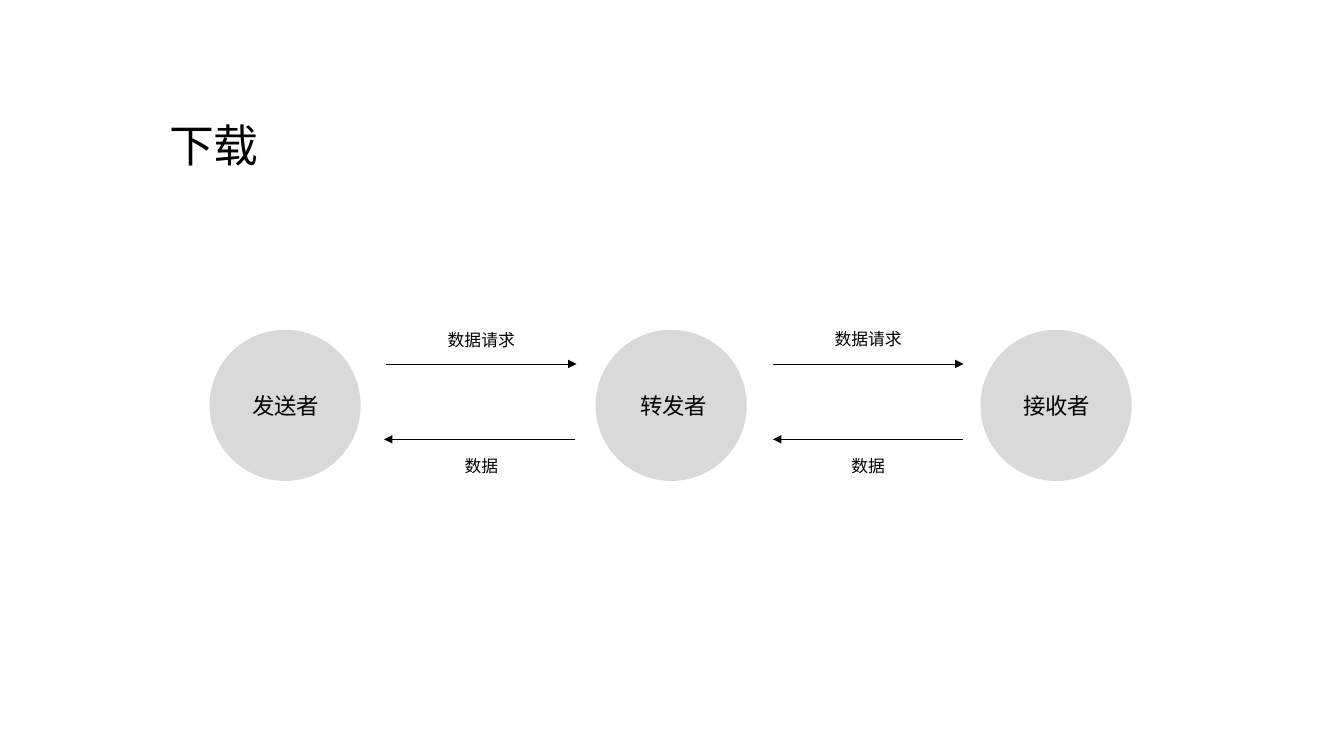
from dataclasses import dataclass

from lxml.etree import SubElement
from pptx import Presentation
from pptx.dml.color import RGBColor
from pptx.enum.shapes import MSO_CONNECTOR, MSO_SHAPE
from pptx.enum.text import MSO_ANCHOR, PP_ALIGN
from pptx.oxml.ns import qn
from pptx.util import Cm, Pt

BLACK = RGBColor(0, 0, 0)
GREY = RGBColor(0xD9, 0xD9, 0xD9)
FONT = "Noto Sans CJK SC"

# Lengths in centimetres
SIZE = 3.81
TOP = 8.31
ROLE_TOP, ROLE_WIDTH, ROLE_HEIGHT = 9.75, 2.72, 0.94
ARROW = 4.8
LABEL_WIDTH, LABEL_HEIGHT = 4.14, 0.76


@dataclass
class Role:
    name: str
    left: float
    text_left: float


@dataclass
class Flow:
    label: str
    start: float
    end: float
    y: float
    label_left: float
    label_top: float


ROLES = [
    Role("发送者", 5.28, 5.84),
    Role("转发者", 15.01, 15.62),
    Role("接收者", 24.71, 25.27),
]

FLOWS = [
    Flow("数据请求", 9.73, 9.73 + ARROW, 9.17, 10.06, 8.18),
    Flow("数据请求", 19.48, 19.48 + ARROW, 9.17, 19.81, 8.15),
    Flow("数据", 9.68 + ARROW, 9.68, 11.07, 10.06, 11.35),
    Flow("数据", 19.48 + ARROW, 19.48, 11.07, 19.81, 11.35),
]

deck = Presentation()
deck.slide_width, deck.slide_height = Cm(33.87), Cm(19.05)
slide = deck.slides.add_slide(deck.slide_layouts[6])


def add_text(text: str, left: float, top: float, width: float, height: float,
             size: int, align: PP_ALIGN = PP_ALIGN.CENTER) -> None:
    box = slide.shapes.add_textbox(Cm(left), Cm(top), Cm(width), Cm(height))
    frame = box.text_frame
    frame.word_wrap = True
    frame.vertical_anchor = MSO_ANCHOR.MIDDLE
    para = frame.paragraphs[0]
    para.text = text
    para.alignment = align
    font = para.font
    font.name, font.size = FONT, Pt(size)
    font.color.rgb = BLACK
    # Chinese text takes the East Asian typeface
    props = para._p.find(".//" + qn("a:defRPr"))
    SubElement(props, qn("a:ea"), typeface=FONT)


def add_role(role: Role) -> None:
    disc = slide.shapes.add_shape(MSO_SHAPE.OVAL, Cm(role.left), Cm(TOP),
                                  Cm(SIZE), Cm(SIZE))
    disc.shadow.inherit = False
    disc.fill.solid()
    disc.fill.fore_color.rgb = GREY
    disc.line.fill.background()
    add_text(role.name, role.text_left, ROLE_TOP, ROLE_WIDTH, ROLE_HEIGHT, 16)


def add_flow(flow: Flow) -> None:
    arrow = slide.shapes.add_connector(
        MSO_CONNECTOR.STRAIGHT, Cm(flow.start), Cm(flow.y),
        Cm(flow.end), Cm(flow.y))
    arrow.line.color.rgb = BLACK
    arrow.line.width = Pt(0.25)
    SubElement(arrow.line._get_or_add_ln(), qn("a:tailEnd"), type="triangle")
    SubElement(arrow._element.spPr, qn("a:effectLst"))
    add_text(flow.label, flow.label_left, flow.label_top,
             LABEL_WIDTH, LABEL_HEIGHT, 12)


# Roles
for role in ROLES:
    add_role(role)

# Requests and replies
for flow in FLOWS:
    add_flow(flow)

# Title
add_text("下载", 4.01, 2.82, 12.83, 1.63, 32, PP_ALIGN.LEFT)

deck.save("out.pptx")
